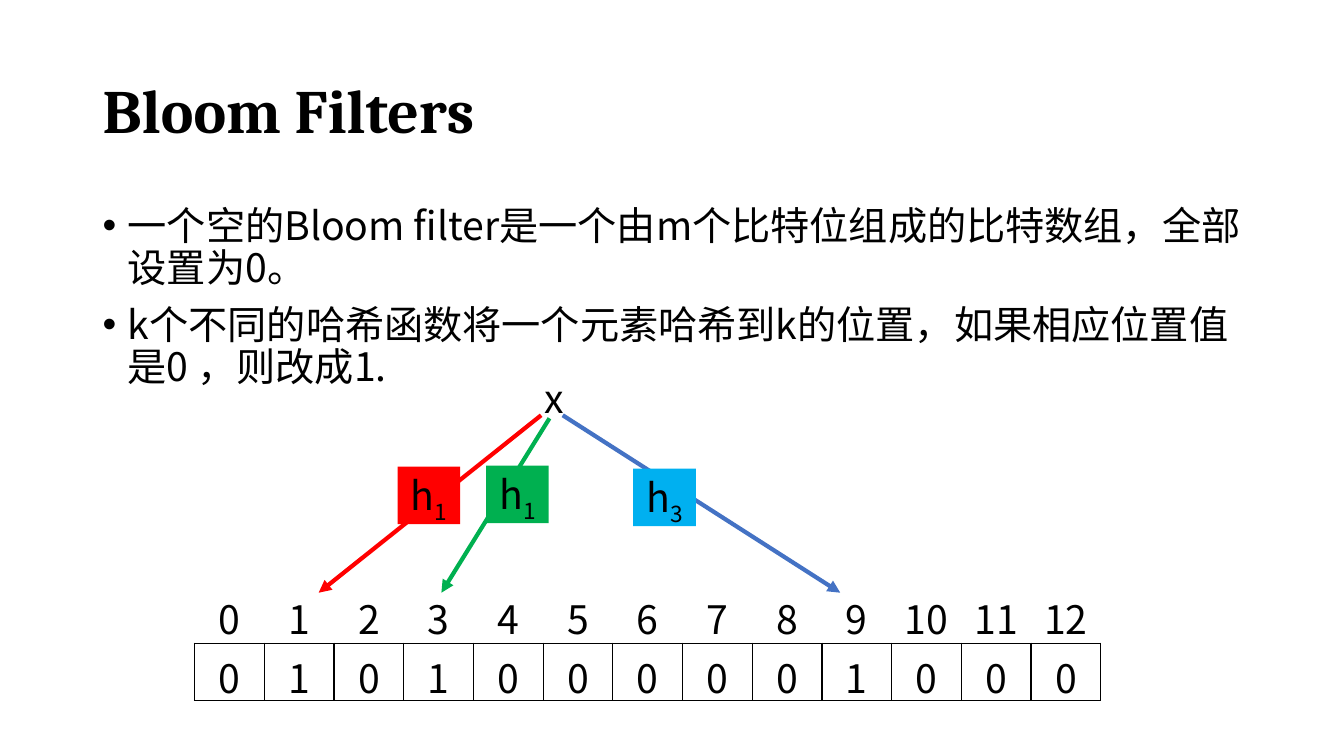
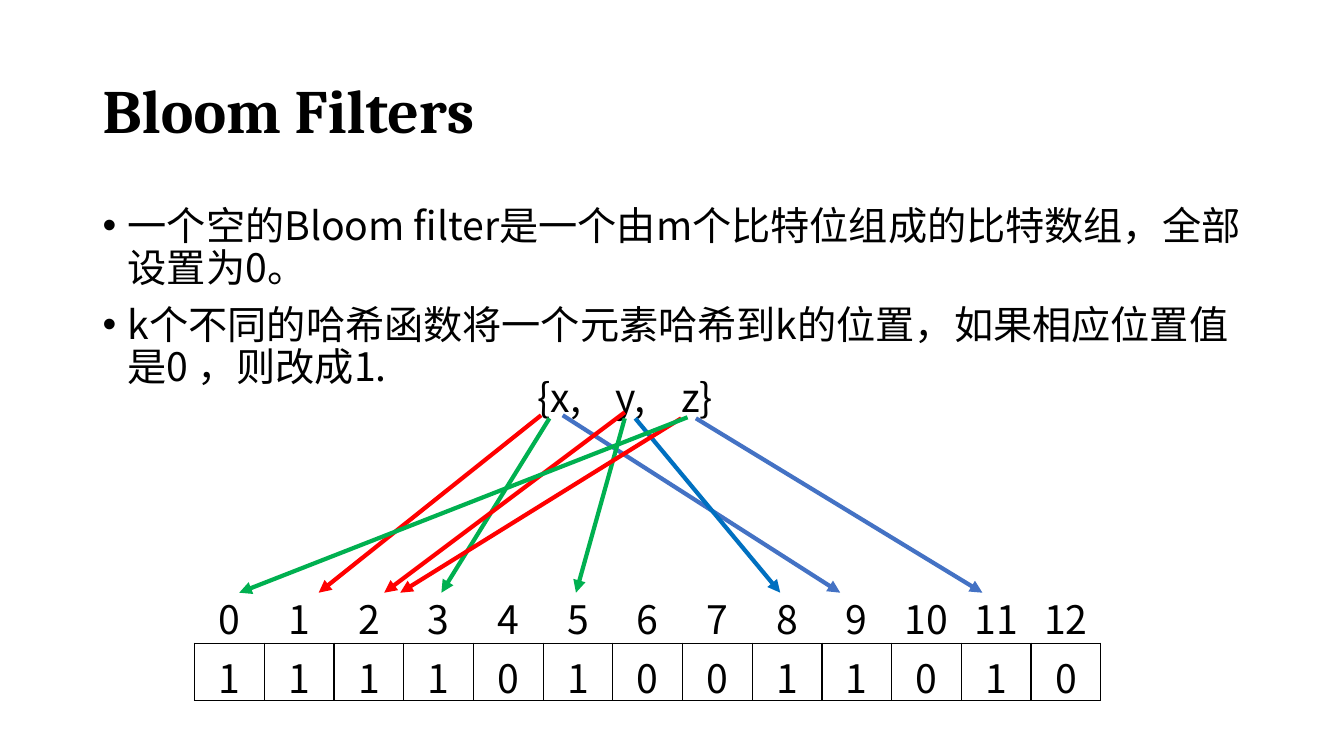
from collections import namedtuple

from lxml.etree import SubElement
from pptx import Presentation
from pptx.dml.color import RGBColor
from pptx.enum.shapes import MSO_CONNECTOR, MSO_SHAPE
from pptx.enum.text import MSO_ANCHOR, PP_ALIGN
from pptx.oxml.ns import qn
from pptx.util import Inches, Pt

BLACK = RGBColor(0x00, 0x00, 0x00)
RED = RGBColor(0xFF, 0x00, 0x00)
GREEN = RGBColor(0x00, 0xB0, 0x50)
BLUE = RGBColor(0x44, 0x72, 0xC4)
DEEP_BLUE = RGBColor(0x00, 0x70, 0xC0)
SKY = RGBColor(0x00, 0xB0, 0xF0)

HEADING_FONT = "Cambria"
TEXT_FONT = "Noto Sans CJK SC"
PLAIN_TABLE_STYLE = "{2D5ABB26-0587-4C30-8999-92F81FD0307C}"

Box = namedtuple("Box", "left top width height")
Arrow = namedtuple("Arrow", "color start_column start_y end_column")
Hash = namedtuple("Hash", "number color column top")

TITLE_BOX = Box(0.92, 0.4, 11.5, 1.45)
BODY_BOX = Box(0.92, 2, 11.5, 2.42)
INDEX_BOX = Box(1.93, 5.79, 8.99, 0.52)
BITS_BOX = INDEX_BOX._replace(top=6.38)
SLOTS = 13
COLUMN = BITS_BOX.width / SLOTS
ARROW_END_Y = 5.88

TITLE = "Bloom Filters"
POINTS = [
    "一个空的Bloom filter是一个由m个比特位组成的比特数组，全部设置为0。",
    "k个不同的哈希函数将一个元素哈希到k的位置，如果相应位置值是0 ，则改成1.",
]

# Arrow columns count from the left edge of the bit array.
X_ARROWS = [
    Arrow(RED, 4.97, 4.12, 1.78),
    Arrow(GREEN, 5.09, 4.15, 3.54),
    Arrow(BLUE, 5.28, 4.12, 9.26),
]
Y_ARROWS = [
    Arrow(RED, 6.17, 4.09, 2.72),
    Arrow(GREEN, 6.17, 4.15, 5.47),
    Arrow(DEEP_BLUE, 6.32, 4.15, 8.4),
]
Z_ARROWS = [
    Arrow(RED, 6.98, 4.15, 2.95),
    Arrow(GREEN, 7.07, 4.14, 0.64),
    Arrow(BLUE, 7.19, 4.15, 11.3),
]
HASHES = [
    Hash("1", RED, 2.91, 4.63),
    Hash("1", GREEN, 4.18, 4.62),
    Hash("3", SKY, 6.29, 4.65),
]


def emu(box):
    """Turn a box in inches into slide lengths."""
    return [Inches(length) for length in box]


def column_x(column):
    """Return the distance of a bit array column from the slide's left."""
    return BITS_BOX.left + column * COLUMN


def style(paragraph, size=28, font=TEXT_FONT, bold=False):
    """Set the font of a whole paragraph, East Asian letters included."""
    paragraph.font.size = Pt(size)
    paragraph.font.name = font
    paragraph.font.bold = bold
    paragraph.font.color.rgb = BLACK
    defaults = paragraph.font._element
    SubElement(defaults, qn("a:ea")).set("typeface", font)


def add_text(slide, box, lines, wrap=True):
    """Add a text box with one paragraph a line and return its frame."""
    frame = slide.shapes.add_textbox(*emu(box)).text_frame
    frame.word_wrap = wrap
    frame.text = "\n".join(lines)
    return frame


def add_title(slide, box):
    """Add the bold heading, centred vertically in its box."""
    frame = add_text(slide, box, [TITLE])
    frame.vertical_anchor = MSO_ANCHOR.MIDDLE
    heading = frame.paragraphs[0]
    heading.line_spacing = 0.9
    style(heading, 44, HEADING_FONT, bold=True)


def add_points(slide, box):
    """Add the bulleted explanation."""
    for point in add_text(slide, box, POINTS).paragraphs:
        point.line_spacing = 0.9
        point.space_before = Pt(10)
        properties = point._p.get_or_add_pPr()
        properties.set("marL", str(Inches(0.25)))
        properties.set("indent", str(-Inches(0.25)))
        SubElement(properties, qn("a:buFont")).set("typeface", "Arial")
        SubElement(properties, qn("a:buChar")).set("char", "•")
        style(point)


def add_elements(slide, box, text, tabs=()):
    """Add the hashed elements, spaced by tab stops."""
    elements = add_text(slide, box, [text], wrap=False).paragraphs[0]
    if tabs:
        stops = SubElement(elements._p.get_or_add_pPr(), qn("a:tabLst"))
        for position in tabs:
            stop = SubElement(stops, qn("a:tab"))
            stop.set("pos", str(Inches(position)))
            stop.set("algn", "l")
    style(elements)


def add_cell_border(cell):
    """Draw a thin black line round a cell."""
    properties = cell._tc.get_or_add_tcPr()
    for place, side in enumerate(("a:lnL", "a:lnR", "a:lnT", "a:lnB")):
        line = properties.makeelement(qn(side), {"w": str(Pt(1))})
        fill = SubElement(line, qn("a:solidFill"))
        SubElement(fill, qn("a:srgbClr")).set("val", str(BLACK))
        properties.insert(place, line)


def add_slots(slide, box, values, bordered=False):
    """Add a table of one row with a column for each slot."""
    graphic = slide.shapes.add_table(1, SLOTS, *emu(box))
    for style_id in graphic._element.iter(qn("a:tableStyleId")):
        style_id.text = PLAIN_TABLE_STYLE
    table = graphic.table
    table.first_row = table.horz_banding = False
    for column, cell, value in zip(table.columns, table.iter_cells(), values):
        column.width = Inches(COLUMN)
        cell.text = str(value)
        cell.fill.background()
        slot = cell.text_frame.paragraphs[0]
        slot.alignment = PP_ALIGN.CENTER
        style(slot)
        if bordered:
            add_cell_border(cell)


def add_arrow(slide, arrow):
    """Draw an arrow from an element down to its slot."""
    connector = slide.shapes.add_connector(
        MSO_CONNECTOR.STRAIGHT,
        Inches(column_x(arrow.start_column)), Inches(arrow.start_y),
        Inches(column_x(arrow.end_column)), Inches(ARROW_END_Y))
    connector.line.color.rgb = arrow.color
    connector.line.width = Pt(3)
    SubElement(connector.line._get_or_add_ln(), qn("a:tailEnd")).set("type", "triangle")
    SubElement(connector._element.spPr, qn("a:effectLst"))


def add_hash(slide, item):
    """Add the coloured label of a hash function."""
    box = Box(column_x(item.column), item.top, 0.9 * COLUMN, 0.57)
    label = slide.shapes.add_shape(MSO_SHAPE.RECTANGLE, *emu(box))
    label.shadow.inherit = False
    label.fill.solid()
    label.fill.fore_color.rgb = item.color
    label.line.fill.background()
    label.text_frame.word_wrap = False
    label.text_frame.vertical_anchor = MSO_ANCHOR.TOP
    name = label.text_frame.paragraphs[0]
    name.alignment = PP_ALIGN.CENTER
    style(name)
    for text in ("h", item.number):
        letter = name.add_run()
        letter.text = text
        letter.font.color.rgb = BLACK
    letter.font._element.set("baseline", "-25000")


def add_filter_slide(deck, bits, elements, arrows, hashes=()):
    """Add a slide that hashes elements into the bit array."""
    slide = deck.slides.add_slide(deck.slide_layouts[6])
    add_title(slide, TITLE_BOX)
    add_points(slide, BODY_BOX)
    add_slots(slide, BITS_BOX, bits, bordered=True)
    add_slots(slide, INDEX_BOX, range(SLOTS))
    add_elements(slide, *elements)
    for arrow in arrows:
        add_arrow(slide, arrow)
    for item in hashes:
        add_hash(slide, item)


def main():
    """Build and save the deck."""
    deck = Presentation()
    deck.slide_width, deck.slide_height = Inches(13.33), Inches(7.5)
    add_filter_slide(deck, "0101000001000", (Box(5.3, 3.66, 0.49, 0.57), "x"),
                     X_ARROWS, HASHES)
    add_filter_slide(deck, "1111010011010",
                     (Box(5.23, 3.65, 2.91, 0.57), "{x,\ty,\tz}", (0.78, 1.43)),
                     X_ARROWS + Y_ARROWS + Z_ARROWS)
    deck.save("out.pptx")


main()
